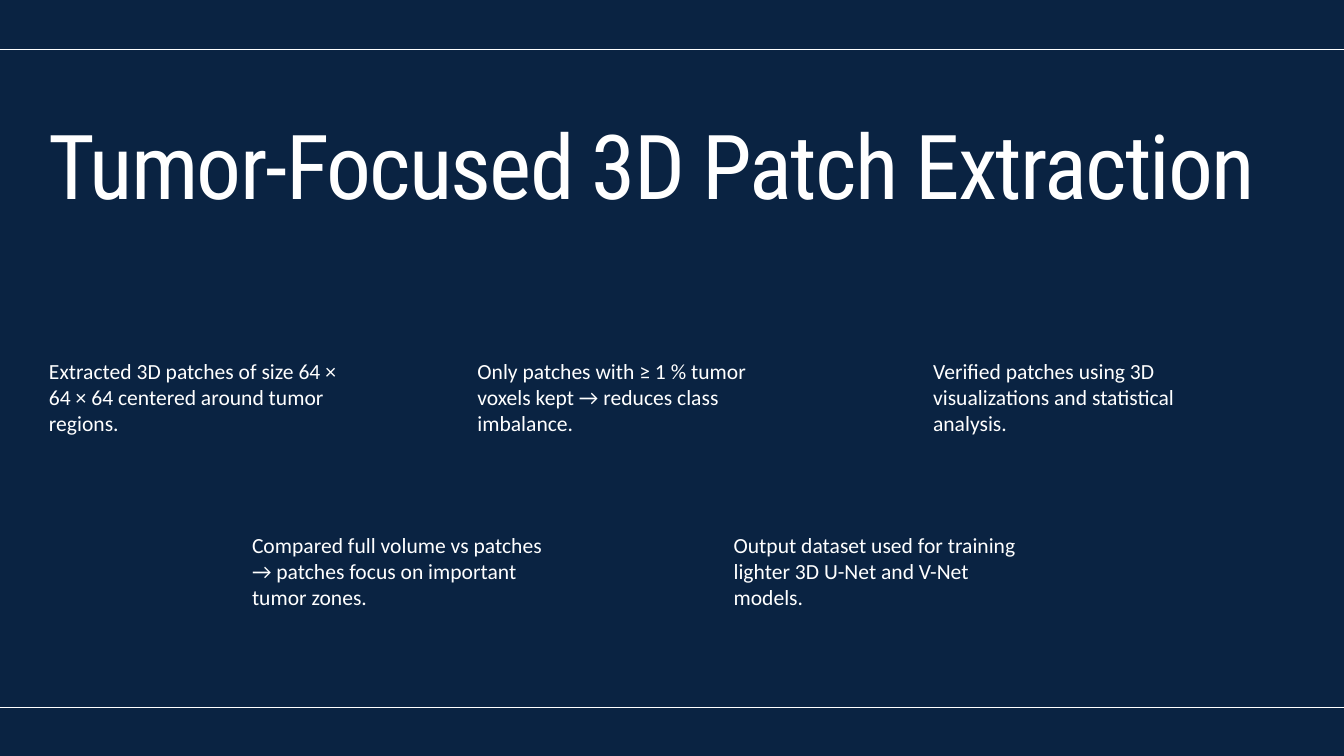
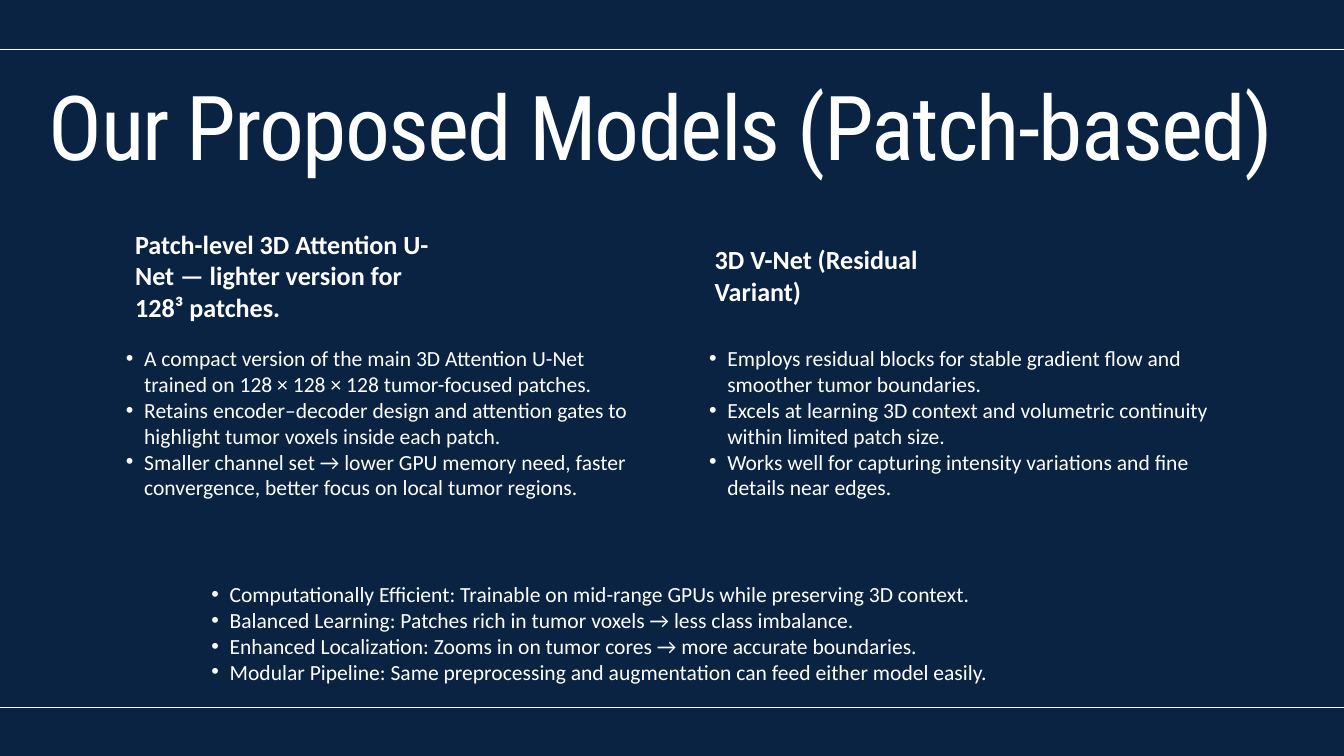
from dataclasses import dataclass

from lxml.etree import SubElement
from pptx import Presentation
from pptx.dml.color import RGBColor
from pptx.enum.shapes import MSO_CONNECTOR
from pptx.enum.text import MSO_ANCHOR, MSO_AUTO_SIZE, PP_ALIGN
from pptx.oxml.ns import qn
from pptx.util import Pt

EMU_PER_PX = 9525
WIDTH, HEIGHT = 1920, 1080
TITLE_ONLY = 5


def px(length):
    return length * EMU_PER_PX


@dataclass(frozen=True)
class TextStyle:
    font: str
    size: float
    leading: float
    bold: bool = False
    tracking: int = 0  # hundredths of a point


@dataclass(frozen=True)
class Theme:
    navy: RGBColor = RGBColor.from_string("0A2342")
    white: RGBColor = RGBColor.from_string("FFFFFF")
    rule_weight: float = 1.5
    title: TextStyle = TextStyle("Roboto Condensed", 96, 96, tracking=-190)
    heading: TextStyle = TextStyle("Calibri", 28, 33.6, bold=True)
    body: TextStyle = TextStyle("Calibri", 23.1, 27.7)


class Deck:
    MARGIN = 70
    RULES = (71, 1011)
    BULLET_INDENT, BULLET_HANG = 53, 26

    def __init__(self, theme):
        self.theme = theme
        self.prs = Presentation()
        self.prs.slide_width, self.prs.slide_height = px(WIDTH), px(HEIGHT)
        self.slide = None

    def add_slide(self, title, title_top):
        self.slide = self.prs.slides.add_slide(self.prs.slide_layouts[TITLE_ONLY])
        fill = self.slide.background.fill
        fill.solid()
        fill.fore_color.rgb = self.theme.navy
        self.title(title, title_top)
        for y in self.RULES:
            self.rule(y)

    def title(self, text, top):
        holder = self.slide.shapes.title
        place = dict(left=self.MARGIN, top=top, width=WIDTH - 2 * self.MARGIN, height=134)
        for name, value in place.items():
            setattr(holder, name, px(value))
        self.fill_text(holder.text_frame, [text], self.theme.title)

    def rule(self, y):
        """Draw a line across the whole slide."""
        line = self.slide.shapes.add_connector(
            MSO_CONNECTOR.STRAIGHT, 0, px(y), px(WIDTH), px(y))
        line.line.color.rgb = self.theme.white
        line.line.width = Pt(self.theme.rule_weight)
        SubElement(line._element.spPr, qn("a:effectLst"))

    def text(self, box, paragraphs, style, bulleted=False):
        """Add a text box at box = (left, top, width, height)."""
        shape = self.slide.shapes.add_textbox(*map(px, box))
        self.fill_text(shape.text_frame, paragraphs, style, bulleted)

    def bullets(self, box, points):
        self.text(box, points, self.theme.body, bulleted=True)

    def fill_text(self, frame, paragraphs, style, bulleted=False):
        frame_format = dict(
            margin_left=0, margin_top=0, margin_right=0, margin_bottom=0,
            word_wrap=True, auto_size=MSO_AUTO_SIZE.SHAPE_TO_FIT_TEXT,
            vertical_anchor=MSO_ANCHOR.TOP)
        paragraph_format = dict(
            alignment=PP_ALIGN.LEFT, line_spacing=Pt(style.leading), space_before=Pt(0))
        font_format = dict(name=style.font, size=Pt(style.size), bold=style.bold)
        for name, value in frame_format.items():
            setattr(frame, name, value)
        for index, words in enumerate(paragraphs):
            paragraph = frame.add_paragraph() if index else frame.paragraphs[0]
            if bulleted:
                self.add_bullet(paragraph)
            for name, value in paragraph_format.items():
                setattr(paragraph, name, value)
            run = paragraph.add_run()
            run.text = words
            for name, value in font_format.items():
                setattr(run.font, name, value)
            run.font.color.rgb = self.theme.white
            if style.tracking:
                run._r.get_or_add_rPr().set("spc", str(style.tracking))

    def add_bullet(self, paragraph):
        paragraph.level = 1
        properties = paragraph._p.get_or_add_pPr()
        properties.set("marL", str(px(self.BULLET_INDENT)))
        properties.set("indent", str(px(-self.BULLET_HANG)))
        SubElement(properties, qn("a:buFont"), typeface="Arial")
        SubElement(properties, qn("a:buChar"), char="•")


def patch_extraction(deck):
    deck.add_slide("Tumor-Focused 3D Patch Extraction", title_top=183)
    upper_row, lower_row = 512, 760
    steps = [
        (70, upper_row, 439,
         "Extracted 3D patches of size 64 × 64 × 64 centered around tumor regions."),
        (682, upper_row, 421,
         "Only patches with ≥ 1 % tumor voxels kept → reduces class imbalance."),
        (1333, upper_row, 421,
         "Verified patches using 3D visualizations and statistical analysis."),
        (360, lower_row, 421,
         "Compared full volume vs patches → patches focus on important tumor zones."),
        (1048, lower_row, 421,
         "Output dataset used for training lighter 3D U-Net and V-Net models."),
    ]
    for left, top, width, step in steps:
        deck.text((left, top, width, 109), [step], deck.theme.body)


def proposed_models(deck):
    deck.add_slide("Our Proposed Models (Patch-based)", title_top=127)
    models = [
        ((193, 326, 439, 132),
         "Patch-level 3D Attention U-Net — lighter version for 128³ patches.",
         (153, 493, 772, 289),
         ["A compact version of the main 3D Attention U-Net trained on "
          "128 × 128 × 128 tumor-focused patches.",
          "Retains encoder–decoder design and attention gates to highlight "
          "tumor voxels inside each patch.",
          "Smaller channel set → lower GPU memory need, faster convergence, "
          "better focus on local tumor regions."]),
        ((1021, 348, 421, 88),
         "3D V-Net (Residual Variant)",
         (986, 493, 751, 253),
         ["Employs residual blocks for stable gradient flow and smoother tumor boundaries.",
          "Excels at learning 3D context and volumetric continuity within limited patch size.",
          "Works well for capturing intensity variations and fine details near edges."]),
    ]
    for heading_box, heading, points_box, points in models:
        deck.text(heading_box, [heading], deck.theme.heading)
        deck.bullets(points_box, points)
    deck.bullets((275, 830, 1494, 181), [
        "Computationally Efficient: Trainable on mid-range GPUs while preserving 3D context.",
        "Balanced Learning: Patches rich in tumor voxels → less class imbalance.",
        "Enhanced Localization: Zooms in on tumor cores → more accurate boundaries.",
        "Modular Pipeline: Same preprocessing and augmentation can feed either model easily.",
    ])


def main():
    deck = Deck(Theme())
    patch_extraction(deck)
    proposed_models(deck)
    deck.prs.save("out.pptx")


if __name__ == "__main__":
    main()
